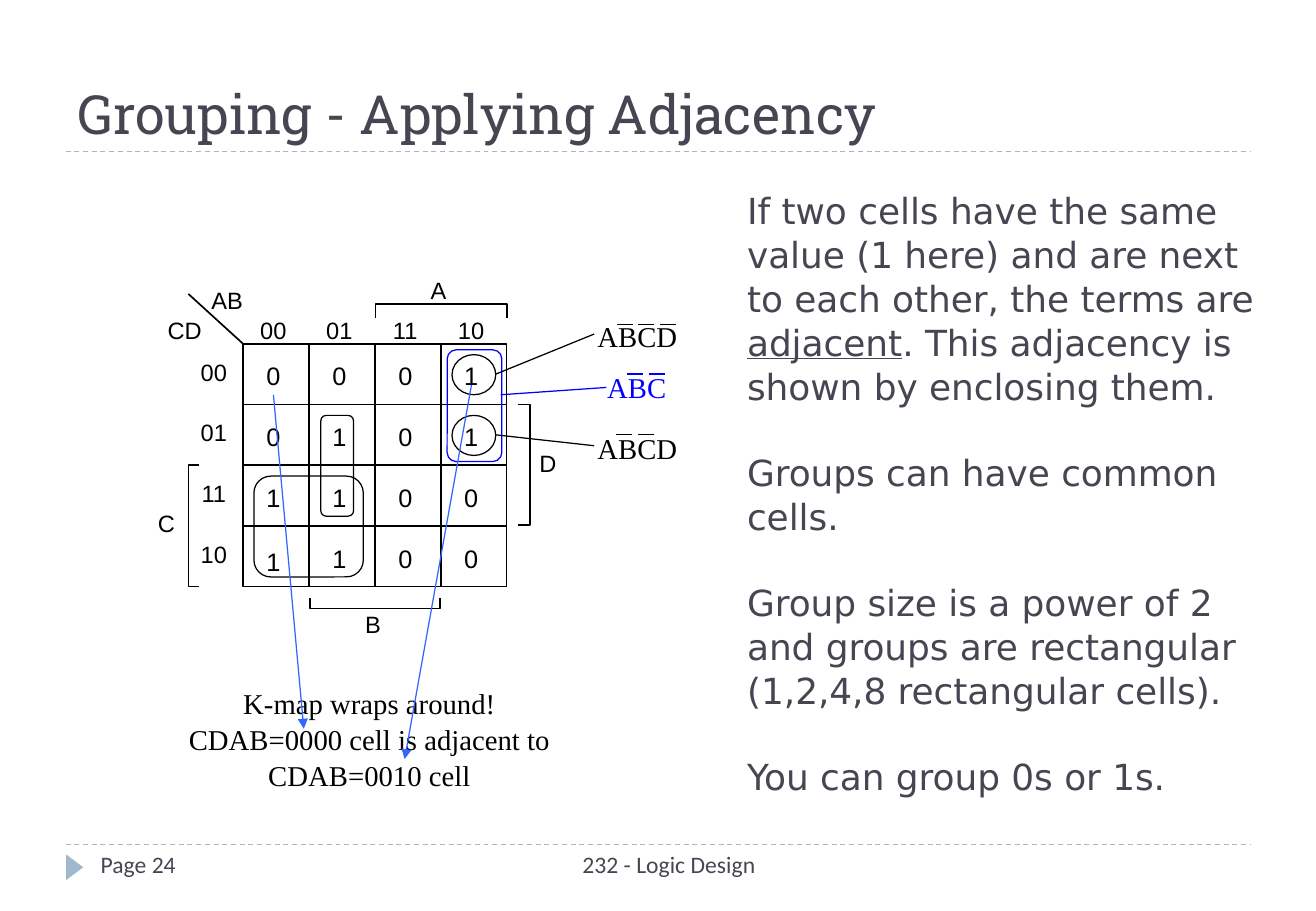
from pptx import Presentation
from pptx.dml.color import RGBColor
from pptx.enum.dml import MSO_LINE
from pptx.enum.shapes import MSO_CONNECTOR, MSO_SHAPE as Shape
from pptx.enum.text import MSO_ANCHOR as Anchor, PP_ALIGN as Align
from pptx.oxml.ns import qn
from pptx.util import Inches, Pt
from lxml import etree

COLORS = {"text": "464653", "rule": "9FB8CD", "black": "000000",
          "blue": "0000FF", "arrow": "3366FF"}

TITLE = "Grouping - Applying Adjacency"
FOOTERS = [("232 - Logic Design", (3.43, 6.95, 4.15, 0.4), Align.CENTER),
           ("Page 24", (0.73, 6.95, 2.35, 0.4), Align.LEFT)]
NOTES = [
    [("If two cells have the same value (1 here) and are next to each other, "
      "the terms are ", False), ("adjacent", True),
     (". This adjacency is shown by enclosing them.", False)],
    [("Groups can have common cells.", False)],
    [("Group size is a power of 2 and groups are rectangular "
      "(1,2,4,8 rectangular cells).", False)],
    [("You can group 0s or 1s.", False)],
]
WRAP_NOTE = "K-map wraps around!\vCDAB=0000 cell is adjacent to CDAB=0010 cell"

CODES = ["00", "01", "11", "10"]
CELLS = ["0001", "0101", "1100", "1100"]
LEFT, TOP, COLUMN, ROW = 2, 2.83, 0.5425, 0.5
RIGHT, BOTTOM = LEFT + 4 * COLUMN, TOP + 4 * ROW

# text, centre x, top
VARIABLES = [("AB", 1.87, 2.33), ("CD", 1.52, 2.58), ("A", 3.61, 2.25),
             ("B", 3.07, 5), ("C", 1.37, 4.17), ("D", 4.51, 3.67)]
BRACKETS = [
    [(3.09, 2.62), (3.09, 2.5), (4.17, 2.5), (4.17, 2.62)],
    [(1.64, 4.83), (1.55, 4.83), (1.55, 3.83), (1.64, 3.83)],
    [(3.62, 4.92), (3.62, 5.01), (2.55, 5.01), (2.55, 4.92)],
    [(4.26, 3.33), (4.36, 3.33), (4.36, 4.32), (4.26, 4.32)],
]
GROUPS = [
    (Shape.OVAL, (3.72, 2.92, 0.36, 0.33), "black"),
    (Shape.OVAL, (3.72, 3.42, 0.36, 0.33), "black"),
    (Shape.ROUNDED_RECTANGLE, (3.68, 2.88, 0.45, 0.92), "blue"),
    (Shape.ROUNDED_RECTANGLE, (2.09, 3.92, 0.9, 0.83), "black"),
    (Shape.ROUNDED_RECTANGLE, (2.64, 3.42, 0.27, 0.83), "black"),
]
# text, box, colour, overbar y, overbar starts, leader from, leader to
TERMS = [
    ("ABCD", (4.81, 2.57, 0.87, 0.39), "black", 2.67, (5.08, 5.25, 5.43),
     (4.08, 3.08), (4.89, 2.75)),
    ("ABCD", (4.81, 3.49, 0.87, 0.39), "black", 3.58, (5.07, 5.25),
     (4.08, 3.58), (4.89, 3.67)),
    ("ABC", (4.89, 2.99, 0.7, 0.39), "blue", 3.08, (5.16, 5.34),
     (4.12, 3.25), (4.99, 3.19)),
]
OVERBAR = 0.13
ARROWS = [((2.25, 3.25), (2.5, 6)), ((3.88, 3.17), (3.33, 6.25))]


def color(name):
    return RGBColor.from_string(COLORS[name])


def inches(values):
    return [Inches(value) for value in values]


def style_runs(para, size, font, shade):
    for span in para.runs:
        span.font.size = Pt(size)
        span.font.name = font
        span.font.color.rgb = color(shade)


def add_text(page, text, box, size, font, shade="black", align=Align.CENTER,
             wrap=False, spacing=None, anchor=Anchor.TOP):
    frame = page.shapes.add_textbox(*inches(box)).text_frame
    frame.word_wrap = wrap
    frame.vertical_anchor = anchor
    para = frame.paragraphs[0]
    para.text = text
    para.alignment = align
    para.line_spacing = spacing
    style_runs(para, size, font, shade)


def add_line(page, start, end, shade="black", width=0.75):
    line = page.shapes.add_connector(MSO_CONNECTOR.STRAIGHT,
                                     *inches((*start, *end)))
    line.line.color.rgb = color(shade)
    line.line.width = Pt(width)
    etree.SubElement(line._element.spPr, qn("a:effectLst"))
    return line


def outline(shape, shade="black", width=0.75):
    shape.shadow.inherit = False
    shape.fill.background()
    shape.line.color.rgb = color(shade)
    shape.line.width = Pt(width)


def add_frame(page):
    """Rules, page marker, footers and title."""
    for y in (6.95, 1.25):
        add_line(page, (0.54, y), (10.29, y), "rule").line.dash_style = MSO_LINE.DASH
    marker = page.shapes.add_shape(Shape.ISOSCELES_TRIANGLE,
                                   *inches((0.51, 7.07, 0.21, 0.14)))
    marker.rotation = 90
    marker.shadow.inherit = False
    marker.fill.solid()
    marker.fill.fore_color.rgb = color("rule")
    marker.line.fill.background()
    for text, box, align in FOOTERS:
        add_text(page, text, box, 14, "Calibri", "text", align, wrap=True)

    title = page.shapes.title
    title.left, title.top, title.width, title.height = inches((0.54, 0.17, 9.75, 1.08))
    title.text_frame.text = TITLE
    title.text_frame.vertical_anchor = Anchor.BOTTOM
    para = title.text_frame.paragraphs[0]
    para.alignment = Align.LEFT
    style_runs(para, 32, "Roboto Slab", "text")


def add_map(page):
    """Karnaugh map with its codes, variables and brackets."""
    border = page.shapes.add_shape(
        Shape.RECTANGLE, *inches((LEFT, TOP, RIGHT - LEFT, BOTTOM - TOP)))
    outline(border, width=1)
    for step in (1, 2, 3):
        x, y = LEFT + step * COLUMN, TOP + step * ROW
        add_line(page, (LEFT, y), (RIGHT, y), width=1)
        add_line(page, (x, TOP), (x, BOTTOM), width=1)
    add_line(page, (LEFT, TOP), (1.55, 2.42), width=1)

    labels = list(VARIABLES)
    for index, code in enumerate(CODES):
        labels.append((code, 2.25 + index * COLUMN, 2.58))
        labels.append((code, 1.76, 2.92 + index * ROW))
    for text, center, top in labels:
        add_text(page, text, (center - 0.3, top, 0.6, 0.31), 14, "Arial", spacing=0.9)

    for row, values in enumerate(CELLS):
        for column, value in enumerate(values):
            drop = 0.03 if (row, column) == (3, 0) else 0
            box = (2.09 + column * COLUMN, 2.92 + row * ROW + drop, 0.32, 0.35)
            add_text(page, value, box, 15, "Arial")

    for points in BRACKETS:
        corners = [inches(point) for point in points]
        builder = page.shapes.build_freeform(*corners[0])
        builder.add_line_segments(corners[1:], close=False)
        outline(builder.convert_to_shape(), width=1)


def add_groups(page):
    """Enclosed cells, their product terms and the wrap-around arrows."""
    for kind, box, shade in GROUPS:
        outline(page.shapes.add_shape(kind, *inches(box)), shade)
    for text, box, shade, y, starts, begin, end in TERMS:
        add_text(page, text, box, 17, "Times New Roman", shade, anchor=Anchor.MIDDLE)
        for x in starts:
            add_line(page, (x, y), (x + OVERBAR, y), shade)
        add_line(page, begin, end, shade)
    add_text(page, WRAP_NOTE, (1.37, 5.58, 3.34, 0.96), 17, "Times New Roman",
             wrap=True, spacing=1.05)
    for begin, end in ARROWS:
        arrow = add_line(page, begin, end, "arrow")
        etree.SubElement(arrow.line._get_or_add_ln(), qn("a:tailEnd"), type="triangle")


def add_notes(page):
    frame = page.shapes.add_textbox(*inches((6.05, 1.5, 4.6, 5.42))).text_frame
    frame.word_wrap = True
    for index, spans in enumerate(NOTES):
        para = frame.add_paragraph() if index else frame.paragraphs[0]
        para.line_spacing = 1.02
        para.space_before = Pt(25 if index else 0)
        for text, underlined in spans:
            span = para.add_run()
            span.text = text
            span.font.underline = underlined
        style_runs(para, 21.3, "DejaVu Sans", "text")


def main():
    deck = Presentation()
    deck.slide_width, deck.slide_height = inches((10.83, 7.5))
    page = deck.slides.add_slide(deck.slide_layouts[5])
    add_frame(page)
    add_map(page)
    add_groups(page)
    add_notes(page)
    deck.save("out.pptx")


if __name__ == "__main__":
    main()
